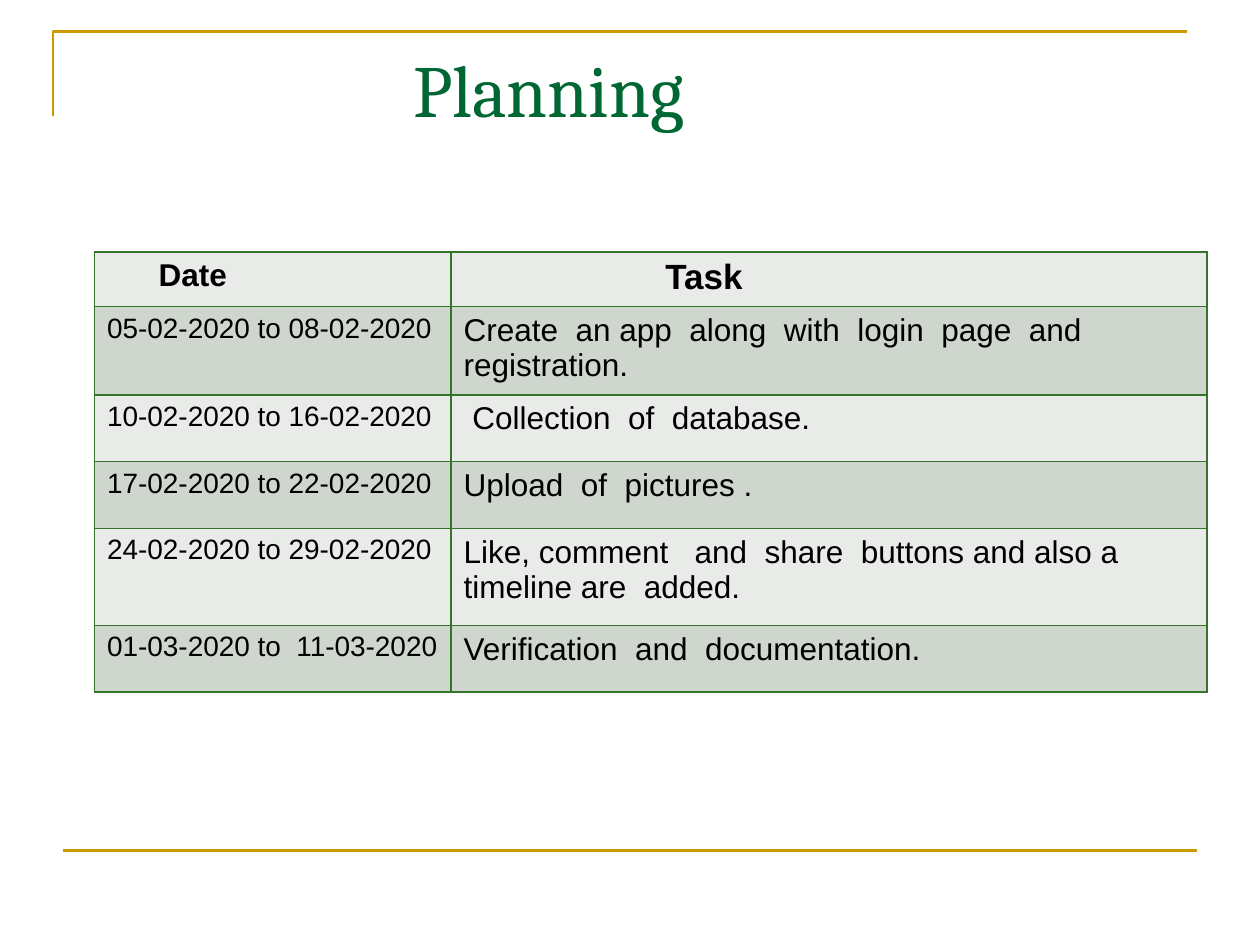
import dataclasses

import lxml.etree
import pptx
import pptx.dml.color
import pptx.enum.shapes
import pptx.enum.text
import pptx.oxml
import pptx.oxml.ns
import pptx.util

Inches = pptx.util.Inches
Pt = pptx.util.Pt
qn = pptx.oxml.ns.qn


@dataclasses.dataclass(frozen=True)
class Theme:
    """Colours, fonts and type sizes of the slide."""
    gold: str = "CC9900"
    green: str = "006633"
    edge: str = "35742A"
    ink: str = "000000"
    bands: tuple = ("E8EBE8", "CED6CD")
    serif: str = "Cambria"
    sans: str = "Arial"
    title: int = 42
    task: int = 20
    body: int = 18
    date: int = 16
    rule: float = 1.5
    grid: float = 1


THEME = Theme()
WIDTHS = (2.83, 6)
HEIGHTS = (0.41, 0.66, 0.53, 0.53, 0.77, 0.53)
PLAN = (
    ("Date", "Task"),
    ("05-02-2020 to 08-02-2020",
     "Create  an app  along  with  login  page  and registration."),
    ("10-02-2020 to 16-02-2020", "Collection  of  database."),
    ("17-02-2020 to 22-02-2020", "Upload  of  pictures ."),
    ("24-02-2020 to 29-02-2020",
     "Like, comment   and  share  buttons and also a timeline are  added."),
    ("01-03-2020 to  11-03-2020", "Verification  and  documentation."),
)
INSETS = {(0, 0): 0.51, (0, 1): 1.7, (2, 1): 0.17}


def color(code):
    """Turn a hex code into a colour."""
    return pptx.dml.color.RGBColor.from_string(code)


def style(item, values):
    """Set each attribute named in a dict of format values."""
    for name, value in values.items():
        setattr(item, name, value)


def write(frame, text, size, face, code, bold=False):
    """Put one formatted run into a text frame."""
    run = frame.paragraphs[0].add_run()
    run.text = text
    style(run.font, {"size": Pt(size), "name": face, "bold": bold})
    run.font.color.rgb = color(code)


def stroke(shape):
    """Give a shape the gold rule line."""
    shape.line.color.rgb = color(THEME.gold)
    shape.line.width = Pt(THEME.rule)


def corner(slide, points):
    """Draw an open, unfilled outline through the points."""
    start, *rest = [(Inches(x), Inches(y)) for x, y in points]
    pen = slide.shapes.build_freeform(*start)
    pen.add_line_segments(rest, close=False)
    shape = pen.convert_to_shape()
    shape.fill.background()
    shape.shadow.inherit = False
    stroke(shape)


def rule(slide, left, right, top):
    """Draw a level rule."""
    kind = pptx.enum.shapes.MSO_CONNECTOR.STRAIGHT
    line = slide.shapes.add_connector(
        kind, Inches(left), Inches(top), Inches(right), Inches(top))
    stroke(line)
    lxml.etree.SubElement(line._element.spPr, qn("a:effectLst"))


def title(slide, text):
    """Add the slide title."""
    box = slide.shapes.add_textbox(
        Inches(0.5), Inches(0.3), Inches(9), Inches(1.25))
    style(box.text_frame, {
        "word_wrap": True,
        "margin_left": Inches(2.78),
        "vertical_anchor": pptx.enum.text.MSO_ANCHOR.TOP,
    })
    write(box.text_frame, text, THEME.title, THEME.serif, THEME.green)


def border(cell):
    """Line all four sides of a cell, ahead of its fill."""
    props = cell._tc.get_or_add_tcPr()
    for spot, side in enumerate(("lnL", "lnR", "lnT", "lnB")):
        edge = lxml.etree.Element(qn("a:" + side), w=str(Pt(THEME.grid)))
        fill = lxml.etree.SubElement(edge, qn("a:solidFill"))
        lxml.etree.SubElement(fill, qn("a:srgbClr"), val=THEME.edge)
        props.insert(spot, edge)


def table(slide, rows):
    """Add the banded plan table."""
    grid = slide.shapes.add_table(
        len(rows), len(WIDTHS), Inches(0.75), Inches(2),
        Inches(sum(WIDTHS)), Inches(sum(HEIGHTS))).table
    for col, width in zip(grid.columns, WIDTHS):
        col.width = Inches(width)
    for row, height in zip(grid.rows, HEIGHTS):
        row.height = Inches(height)
    heads = (THEME.body, THEME.task)
    sizes = (THEME.date, THEME.body)
    for r, texts in enumerate(rows):
        for c, text in enumerate(texts):
            cell = grid.cell(r, c)
            cell.margin_left = Inches(INSETS.get((r, c), 0.1))
            if c == 0:
                cell.margin_right = Inches(0.05)
            cell.fill.solid()
            cell.fill.fore_color.rgb = color(THEME.bands[r % 2])
            border(cell)
            size = sizes[c] if r else heads[c]
            write(cell.text_frame, text, size, THEME.sans, THEME.ink, r == 0)


def main():
    """Build and save the planning slide."""
    deck = pptx.Presentation()
    style(deck, {"slide_width": Inches(10), "slide_height": Inches(7.5)})
    slide = deck.slides.add_slide(deck.slide_layouts[6])
    corner(slide, ((0.42, 0.92), (0.42, 0.25), (9.42, 0.25)))
    rule(slide, 0.5, 9.5, 6.75)
    title(slide, "Planning")
    table(slide, PLAN)
    deck.save("out.pptx")


main()
